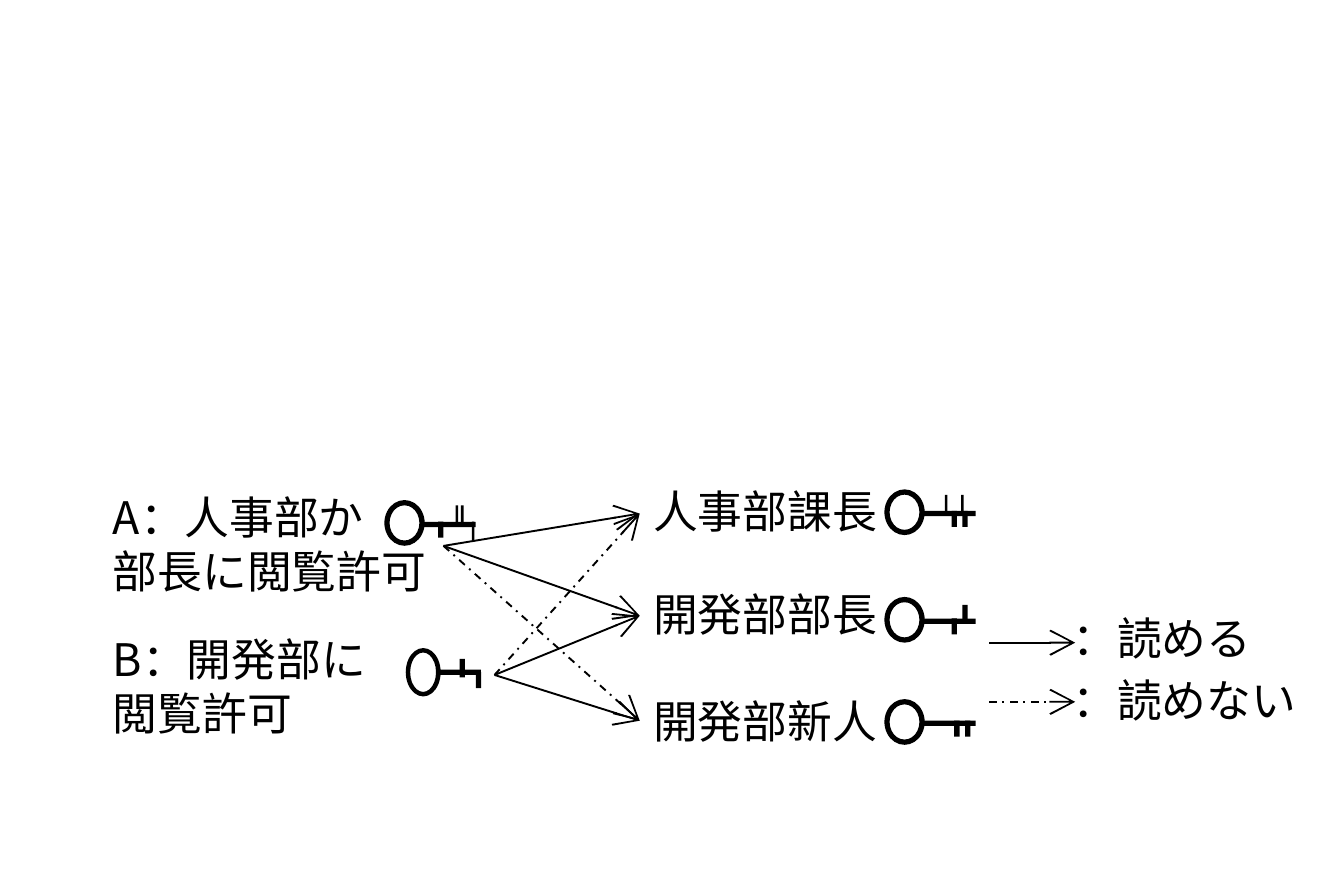
from dataclasses import dataclass

from lxml import etree
from pptx import Presentation
from pptx.dml.color import RGBColor
from pptx.enum.dml import MSO_LINE
from pptx.enum.shapes import MSO_CONNECTOR, MSO_SHAPE
from pptx.enum.text import MSO_AUTO_SIZE
from pptx.oxml.ns import qn
from pptx.util import Inches, Pt

DASH_DOT = MSO_LINE.DASH_DOT
STRAIGHT = MSO_CONNECTOR.STRAIGHT
DONUT, BAR = MSO_SHAPE.DONUT, MSO_SHAPE.RECTANGLE
FIT_SHAPE = MSO_AUTO_SIZE.SHAPE_TO_FIT_TEXT


@dataclass(frozen=True)
class Theme:
    ink: RGBColor = RGBColor(0, 0, 0)
    text_size: Pt = Pt(12)
    arrow_width: Pt = Pt(0.5)
    latin: str = "Arial"
    japanese: str = "Noto Sans CJK JP"


theme = Theme()
prs = Presentation()
prs.slide_width, prs.slide_height = Inches(5), Inches(3.25)
slide = prs.slides.add_slide(prs.slide_layouts[6])


def add_part(key, kind, left, top, width, height):
    """Add one solid piece of a key."""
    part = key.shapes.add_shape(
        kind, Inches(left), Inches(top), Inches(width), Inches(height))
    part.shadow.inherit = False
    part.fill.solid()
    part.fill.fore_color.rgb = theme.ink
    part.line.fill.background()
    return part


def add_arrow(start, end, readable):
    """Draw a solid arrow for readable, a dash-dot one for unreadable."""
    arrow = slide.shapes.add_connector(
        STRAIGHT, *(Inches(value) for value in (*start, *end)))
    arrow.line.color.rgb = theme.ink
    arrow.line.width = theme.arrow_width
    if not readable:
        arrow.line.dash_style = DASH_DOT
    line_xml = arrow.line._get_or_add_ln()
    etree.SubElement(line_xml, qn("a:tailEnd"), type="arrow")
    etree.SubElement(arrow._element.spPr, qn("a:effectLst"))


# Documents, readers and legend: text, left, top, width, height, font
labels = [
    ("A：人事部か\n部長に閲覧許可", 0.37, 1.8, 1.27, 0.45, theme.japanese),
    ("B：開発部に\n閲覧許可", 0.37, 2.33, 1.1, 0.45, theme.japanese),
    ("人事部課長", 2.38, 1.78, 0.94, 0.25, theme.latin),
    ("開発部部長", 2.38, 2.16, 0.94, 0.25, theme.latin),
    ("開発部新人", 2.38, 2.56, 0.94, 0.25, theme.latin),
    ("：読める", 3.94, 2.25, 0.77, 0.25, theme.latin),
    ("：読めない", 3.94, 2.48, 0.94, 0.25, theme.latin),
]
for text, left, top, width, height, font_name in labels:
    label = slide.shapes.add_textbox(
        Inches(left), Inches(top), Inches(width), Inches(height))
    frame = label.text_frame
    frame.word_wrap = False
    frame.auto_size = FIT_SHAPE
    frame.margin_left = frame.margin_right = Inches(0.05)
    frame.margin_top = frame.margin_bottom = Inches(0.02)
    frame.text = text
    for paragraph in frame.paragraphs:
        paragraph.font.size = theme.text_size
        paragraph.font.color.rgb = theme.ink
        paragraph.font.name = font_name
        etree.SubElement(paragraph.font._rPr, qn("a:ea"), typeface=theme.japanese)

# Keys: bow left, top, width, height, shaft length, then the teeth as
# (centre from bow left, top from bow top, width, length)
keys = [
    (1.43, 1.86, 0.15, 0.17, 0.2,
     [(0.21, 0.08, 0.02, 0.06), (0.27, 0.02, 0.01, 0.07),
      (0.29, 0.02, 0.01, 0.07), (0.33, 0.08, 0.01, 0.07)]),
    (1.51, 2.41, 0.13, 0.18, 0.16,
     [(0.27, 0.09, 0.02, 0.06), (0.21, 0.04, 0.02, 0.07)]),
    (3.29, 1.82, 0.15, 0.17, 0.2,
     [(0.26, 0.08, 0.02, 0.06), (0.3, 0.08, 0.02, 0.06),
      (0.23, 0.02, 0.01, 0.07), (0.29, 0.02, 0.01, 0.07)]),
    (3.29, 2.22, 0.15, 0.17, 0.2,
     [(0.26, 0.08, 0.02, 0.06), (0.3, 0.03, 0.02, 0.06)]),
    (3.29, 2.6, 0.15, 0.17, 0.2,
     [(0.27, 0.08, 0.02, 0.06), (0.31, 0.08, 0.02, 0.06)]),
]
for left, top, width, height, shaft_length, teeth in keys:
    key = slide.shapes.add_group_shape()
    bow = add_part(key, DONUT, left, top, width, height)
    bow.adjustments[0] = 0.13
    add_part(key, BAR, left + width - 0.01, top + 0.08, shaft_length, 0.02)
    for centre, drop, thickness, length in teeth:
        add_part(key, BAR, left + centre - thickness / 2, top + drop,
                 thickness, length)

# Who can read which document
document_a, document_b = (1.65, 2.03), (1.84, 2.51)
section_chief, director, newcomer = (2.38, 1.91), (2.38, 2.29), (2.38, 2.68)
access = [
    (document_a, section_chief, True),
    (document_a, director, True),
    (document_a, newcomer, False),
    (document_b, section_chief, False),
    (document_b, director, True),
    (document_b, newcomer, True),
]
for document, reader, readable in access:
    add_arrow(document, reader, readable)

# Legend arrows
for y, readable in [(2.39, True), (2.61, False)]:
    add_arrow((3.68, y), (4, y), readable)

prs.save("out.pptx")
